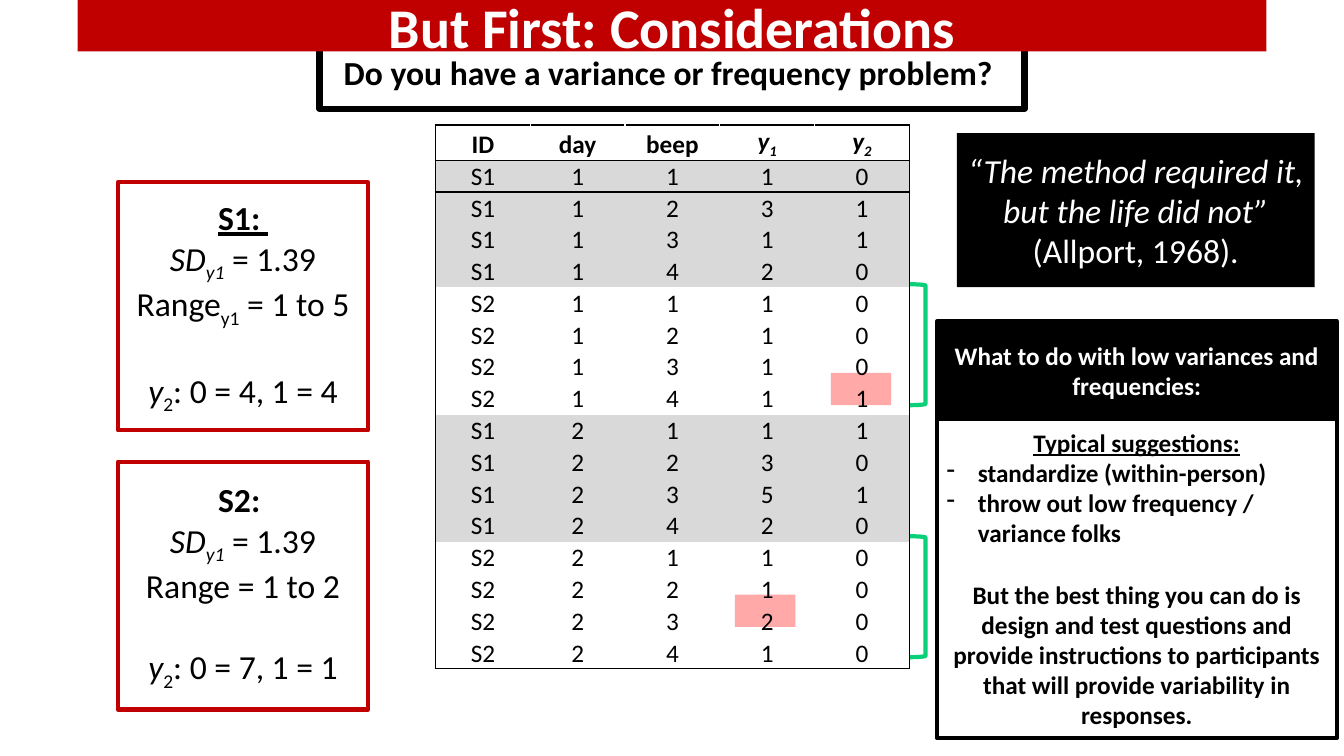
from itertools import product
from lxml import etree
from pptx import Presentation
from pptx.dml.color import RGBColor
from pptx.enum import shapes, text
from pptx.oxml import ns
from pptx.util import Inches, Pt

BLACK = RGBColor(0x00, 0x00, 0x00)
WHITE = RGBColor(0xFF, 0xFF, 0xFF)
RED = RGBColor(0xC0, 0x00, 0x00)
GREEN = RGBColor(0x0C, 0xD0, 0x79)
PINK = RGBColor(0xFF, 0xA9, 0xA9)
GREY = RGBColor(0xD9, 0xD9, 0xD9)
FONT = "Calibri"
PLAIN = "{2D5ABB26-0587-4C30-8999-92F81FD0307C}"
MIDDLE = text.MSO_ANCHOR.MIDDLE
BOTTOM = text.MSO_ANCHOR.BOTTOM
CENTER = text.PP_ALIGN.CENTER
LEFT = text.PP_ALIGN.LEFT
RECT = shapes.MSO_SHAPE.RECTANGLE
BRACKET = shapes.MSO_SHAPE.RIGHT_BRACKET


def write(para, runs, size, color=BLACK, align=CENTER, gap=0):
    para.alignment = align
    if gap:
        para.space_before = Pt(gap)
    for words, style in runs:
        run = para.add_run()
        run.text = words
        font = run.font
        font.name, font.size = FONT, Pt(size)
        font.color.rgb = color
        font.bold = "b" in style
        font.italic = "i" in style
        if "u" in style:
            font.underline = True
        if "s" in style:
            font.element.set("baseline", "-25000") if hasattr(font, "element") else run.font._element.set("baseline", "-25000")


def add_line(frame, first, *args, **kinds):
    para = frame.paragraphs[0] if first else frame.add_paragraph()
    write(para, *args, **kinds)
    return para


def block(slide, box, fill=None, edge=None, width=3, kind=RECT):
    shape = slide.shapes.add_shape(kind, *map(Inches, box))
    shape.shadow.inherit = False
    if fill is None:
        shape.fill.background()
    else:
        shape.fill.solid()
        shape.fill.fore_color.rgb = fill
    if edge is None:
        shape.line.fill.background()
    else:
        shape.line.color.rgb = edge
        shape.line.width = Pt(width)
    frame = shape.text_frame
    frame.word_wrap = True
    frame.vertical_anchor = MIDDLE
    return frame


def banner(slide, box):
    title = slide.shapes.title
    title.left, title.top, title.width, title.height = map(Inches, box)
    title.fill.solid()
    title.fill.fore_color.rgb = RED
    frame = title.text_frame
    frame.auto_size = text.MSO_AUTO_SIZE.NONE
    frame.vertical_anchor = MIDDLE
    add_line(frame, True, [("But First: Considerations", "b")], 40, WHITE)
    slide.shapes.element.append(title.element)


def stats(slide, box, head, span, counts):
    frame = block(slide, box, edge=RED)
    lines = [
        [head],
        [("SD", "i"), ("y1", "is"), (" = 1.39", "")],
        span,
        [("y", "i"), ("2", "s"), (counts, "")],
    ]
    for n, runs in enumerate(lines):
        add_line(frame, n == 0, runs, 24, gap=29 if n == 3 else 0)


def border(cell, side, color):
    line = etree.SubElement(cell._tc.get_or_add_tcPr(), ns.qn("a:ln" + side), w="12700")
    fill = etree.SubElement(line, ns.qn("a:solidFill"))
    etree.SubElement(fill, ns.qn("a:srgbClr"), val=str(color))


def edges(cell, row, col, last, end):
    inner = WHITE if row == 0 else None
    sides = {
        "L": BLACK if col == 0 else inner,
        "R": BLACK if col == end else inner,
        "T": BLACK if row < 2 else None,
        "B": BLACK if row in (0, last) else None,
    }
    for side, color in sides.items():
        if color is not None:
            border(cell, side, color)


def diary(slide, box):
    scores = ["1312", "1111", "1352", "1121"], ["0110", "0001", "1010", "0000"]
    rows = [[[("ID", "b")], [("day", "b")], [("beep", "b")],
             [("y", "bi"), ("1", "bis")], [("y", "bi"), ("2", "bis")]]]
    for (day, who), one, two in zip(product("12", ("S1", "S2")), *scores):
        for beep, (y1, y2) in enumerate(zip(one, two), 1):
            rows.append([[(v, "")] for v in (who, day, str(beep), y1, y2)])
    holder = slide.shapes.add_table(len(rows), 5, *map(Inches, box))
    table = holder.table
    table.first_row = table.horz_banding = False
    next(holder.element.iter(ns.qn("a:tableStyleId"))).text = PLAIN
    for col in table.columns:
        col.width = Inches(box[2] / 5)
    for r, row in enumerate(rows):
        table.rows[r].height = Inches(box[3] / len(rows))
        for c, runs in enumerate(row):
            cell = table.cell(r, c)
            cell.margin_left = cell.margin_right = cell.margin_top = Inches(0.01)
            cell.margin_bottom = 0
            cell.vertical_anchor = BOTTOM
            edges(cell, r, c, len(rows) - 1, 4)
            if r and row[0][0][0] == "S2":
                cell.fill.background()
            else:
                cell.fill.solid()
                cell.fill.fore_color.rgb = GREY if r else WHITE
            write(cell.text_frame.paragraphs[0], runs, 18)


def dash(para):
    props = para._p.get_or_add_pPr()
    props.set("marL", str(Inches(0.31)))
    props.set("indent", str(-Inches(0.31)))
    etree.SubElement(props, ns.qn("a:buFontTx"))
    etree.SubElement(props, ns.qn("a:buChar"), char="-")


def advice(slide, box):
    left, top, width, height = box
    head = 0.97
    frame = block(slide, (left, top, width, head), BLACK, BLACK)
    add_line(frame, True, [("What to do with low variances and frequencies:", "b")], 18, WHITE)
    frame = block(slide, (left, top + head, width, height - head), WHITE, BLACK)
    add_line(frame, True, [("Typical suggestions:", "bu")], 18)
    for tip in ("standardize (within-person)", "throw out low frequency / variance folks"):
        dash(add_line(frame, False, [(tip, "b")], 18, align=LEFT))
    best = ("But the best thing you can do is design and test questions and provide "
            "instructions to participants that will provide variability in responses.")
    add_line(frame, False, [(best, "b")], 18, gap=22)


def main():
    deck = Presentation()
    deck.slide_width, deck.slide_height = Inches(13.33), Inches(7.5)
    slide = deck.slides.add_slide(deck.slide_layouts[5])
    for spot in ((8.24, 3.7), (7.29, 5.9)):
        block(slide, (*spot, 0.6, 0.32), PINK)
    frame = block(slide, (3.17, 0.34, 6.99, 0.74), WHITE, BLACK, 4.5)
    add_line(frame, True, [("Do you have a variance or frequency problem? ", "b")], 24)
    banner(slide, (0.77, 0, 11.79, 0.51))
    stats(slide, (1.17, 1.81, 2.48, 2.46), ("S1: ", "bu"),
          [("Range", ""), ("y1", "s"), (" = 1 to 5", "")], ": 0 = 4, 1 = 4")
    stats(slide, (1.17, 4.58, 2.48, 2.46), ("S2: ", "b"),
          [("Range = 1 to 2", "")], ": 0 = 7, 1 = 1")
    for top in (2.82, 5.32):
        block(slide, (9.02, top, 0.16, 1.2), edge=GREEN, kind=BRACKET)
    frame = block(slide, (9.49, 1.32, 3.55, 1.53), BLACK)
    quote = "“The method required it, but the life did not” "
    add_line(frame, True, [(quote, "i"), ("(Allport, 1968).", "")], 24, WHITE)
    diary(slide, (4.32, 1.24, 4.7, 5.28))
    advice(slide, (9.29, 3.19, 3.97, 4.13))
    deck.save("out.pptx")


if __name__ == "__main__":
    main()
